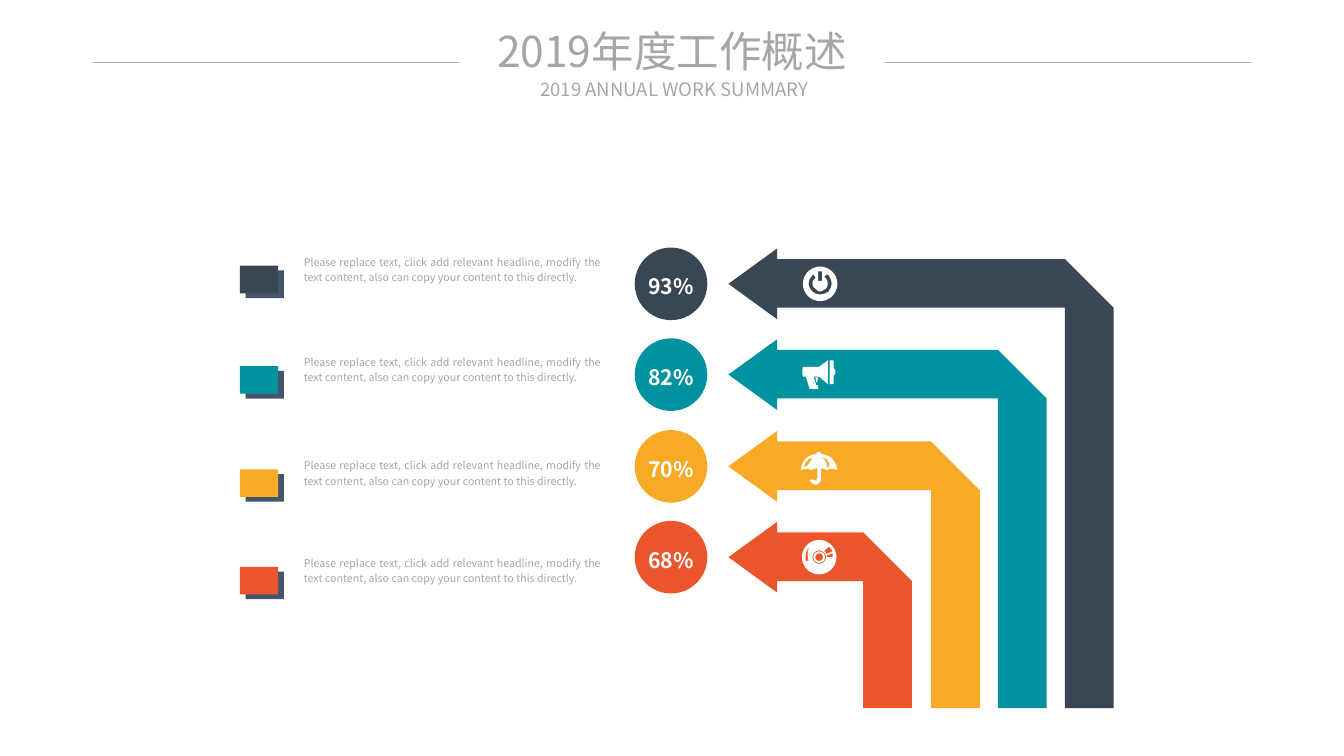
import math

from lxml import etree
from pptx import Presentation
from pptx import util as u
from pptx.dml.color import RGBColor
from pptx.enum import shapes, text
from pptx.oxml.ns import qn

PX = 9144  # EMU per px, 100 px to the inch
FONT = "Noto Sans CJK SC"
NAVY = RGBColor(0x39, 0x47, 0x54)
TEAL = RGBColor(0x00, 0x93, 0x9F)
AMBER = RGBColor(0xF6, 0xAA, 0x26)
ORANGE = RGBColor(0xEA, 0x55, 0x2B)
SLATE = RGBColor(0x44, 0x54, 0x6A)
GREY = RGBColor(0xA6, 0xA6, 0xA6)
WHITE = RGBColor(0xFF, 0xFF, 0xFF)

DESCRIPTION = ("Please replace text, click add relevant headline, modify the text "
               "content, also can copy your content to this directly.")


def circle(x, y, radius, steps=48):
    angles = [2 * math.pi * step / steps for step in range(steps)]
    return [(x + radius * math.cos(a), y + radius * math.sin(a)) for a in angles]


# Outlines on a 40 px grid: pairs are corners, sixes are Bezier curves.
POWER = [
    circle(20, 20, 18),
    [(18, 7), (18, 17), (22, 17), (22, 7)],
    [(27, 10), (24, 13), (25, 13, 25, 14, 26, 14), (27, 16, 28, 17, 28, 20),
     (28, 22, 27, 24, 26, 25), (24, 26, 22, 28, 20, 28), (18, 28, 16, 26, 15, 25),
     (13, 24, 12, 22, 12, 20), (12, 17, 13, 16, 15, 14), (15, 13), (13, 10),
     (12, 11), (10, 13, 8, 16, 8, 20), (8, 23, 10, 26, 12, 28),
     (14, 30, 17, 31, 20, 31), (23, 31, 26, 30, 29, 28),
     (30, 26, 32, 23, 32, 20), (32, 16, 30, 13, 29, 11)],
]
MEGAPHONE = [
    [(2, 12), (18, 12), (20, 11), (28, 5), (28, 30), (20, 23), (18, 22), (13, 22),
     (16, 31), (18, 31), (18, 35), (9, 35), (5, 22), (2, 22), (1, 19, 1, 15, 2, 12)],
    [(34, 13), (35, 14, 36, 15, 36, 17), (36, 19, 35, 21, 34, 21), (34, 30),
     (30, 30), (30, 5), (34, 5)],
    [(18, 23), (15, 23), (16, 28), (17, 28), (17, 26)],
]
UMBRELLA = [
    [(13, 34), (15, 35), (16, 34), (17, 33), (17, 22), (14, 22, 12, 23, 11, 24),
     (7, 22, 3, 22, 0, 24), (0, 15, 6, 8, 16, 7), (17, 5), (20, 5), (21, 7),
     (32, 8, 37, 15, 38, 24), (34, 22, 31, 22, 27, 24), (25, 23, 23, 22, 21, 22),
     (21, 33), (21, 35, 20, 37, 18, 38), (18, 38, 17, 39, 16, 39),
     (15, 39, 14, 39, 13, 38), (11, 38, 10, 36, 9, 34)],
    [(27, 21), (28, 21, 29, 20, 30, 20), (29, 13, 26, 11, 21, 10),
     (25, 12, 27, 16, 27, 21)],
    [(3, 20), (5, 20), (7, 19), (9, 16, 11, 13, 12, 11), (7, 12, 5, 15, 3, 20)],
]
DISC = [
    circle(19, 20, 18), circle(19, 20, 7), circle(19, 20, 6), circle(19, 20, 4),
    [(9, 9), (5, 13, 4, 19, 5, 24), (8, 24), (6, 18, 7, 13, 9, 9)],
    [(24, 14), (25, 14, 26, 15, 26, 16), (26, 17), (33, 14), (32, 12), (29, 9)],
    [(33, 16), (27, 18), (27, 20), (33, 20)],
]

# colour, share, top of the description, icon
ITEMS = [
    (NAVY, "93%", 260, POWER),
    (TEAL, "82%", 365, MEGAPHONE),
    (AMBER, "70%", 473, UMBRELLA),
    (ORANGE, "68%", 575, DISC),
]


def paint(shape, colour):
    shape.shadow.inherit = False
    shape.fill.solid()
    shape.fill.fore_color.rgb = colour
    shape.line.fill.background()


def write(shape, words, size, colour, align, bold=False, spacing=1.0):
    paragraph = shape.text_frame.paragraphs[0]
    paragraph.text = words
    paragraph.alignment = align
    paragraph.line_spacing = spacing
    paragraph.space_before = u.Pt(0)
    font = paragraph.font
    font.name, font.size, font.bold = FONT, u.Pt(size), bold
    font.color.rgb = colour
    defaults = paragraph._p.pPr.find(qn("a:defRPr"))
    etree.SubElement(defaults, qn("a:ea"), typeface=FONT)


def clear_margins(frame):
    frame.margin_left = frame.margin_right = 0
    frame.margin_top = frame.margin_bottom = 0
    frame.vertical_anchor = text.MSO_ANCHOR.MIDDLE


def add_heading(placeholder, box, words, size):
    placeholder.left, placeholder.top, placeholder.width, placeholder.height = (
        length * PX for length in box)
    frame = placeholder.text_frame
    clear_margins(frame)
    frame.auto_size = text.MSO_AUTO_SIZE.NONE
    write(placeholder, words, size, GREY, text.PP_ALIGN.CENTER)


def add_rule(slide, start, end, y):
    rule = slide.shapes.add_connector(
        shapes.MSO_CONNECTOR.STRAIGHT, start * PX, y * PX, end * PX, y * PX)
    rule.line.color.rgb = GREY
    rule.line.width = u.Pt(0.5)
    etree.SubElement(rule._element.spPr, qn("a:effectLst"))


def add_preset(slide, kind, left, top, width, height, colour):
    shape = slide.shapes.add_shape(kind, left * PX, top * PX, width * PX, height * PX)
    paint(shape, colour)
    return shape


def flatten(contour, steps=6):
    """Turn the curves of a contour into short straight segments."""
    points = []
    for part in contour:
        if len(part) == 2:
            points.append(part)
            continue
        controls = [points[-1], part[:2], part[2:4], part[4:]]
        for step in range(1, steps + 1):
            t = step / steps
            weights = ((1 - t) ** 3, 3 * t * (1 - t) ** 2, 3 * t * t * (1 - t), t ** 3)
            points.append(tuple(sum(w * c[axis] for w, c in zip(weights, controls))
                                for axis in (0, 1)))
    return points


def add_outline(slide, contours, colour, left=0, top=0):
    """Draw the contours as one shape; inner contours become holes."""
    builder = None
    for contour in contours:
        points = [((left + x) * PX, (top + y) * PX) for x, y in flatten(contour)]
        if builder is None:
            builder = slide.shapes.build_freeform(*points[0])
        else:
            builder.move_to(*points[0])
        builder.add_line_segments(points[1:], close=True)
    paint(builder.convert_to_shape(), colour)


def add_bent_arrow(slide, middle, stem, colour):
    tip, neck, thickness, foot = 762, 813, 51, 741
    upper, lower = middle - 26, middle + 25
    add_outline(slide, [[
        (neck, middle - 37), (neck, upper), (stem, upper), (stem + thickness, lower),
        (stem + thickness, foot), (stem, foot), (stem, lower), (neck, lower),
        (neck, middle + 37), (tip, middle)]], colour)


def add_share(slide, middle, share, colour):
    badge = add_preset(slide, shapes.MSO_SHAPE.OVAL, 664, middle - 38, 76, 76, colour)
    clear_margins(badge.text_frame)
    badge.text_frame.word_wrap = False
    write(badge, share, 16, WHITE, text.PP_ALIGN.CENTER, bold=True, spacing=1.2)


def add_legend(slide, top, colour):
    add_preset(slide, shapes.MSO_SHAPE.RECTANGLE, 257, top + 23, 40, 29, SLATE)
    add_preset(slide, shapes.MSO_SHAPE.RECTANGLE, 251, top + 18, 40, 29, colour)
    description = slide.shapes.add_textbox(308 * PX, top * PX, 331 * PX, 41 * PX)
    description.text_frame.word_wrap = True
    write(description, DESCRIPTION, 8, GREY, text.PP_ALIGN.JUSTIFY, spacing=1.2)


def main():
    deck = Presentation()
    deck.slide_width, deck.slide_height = 1406 * PX, 791 * PX
    slide = deck.slides.add_slide(deck.slide_layouts[0])
    title, subtitle = slide.placeholders
    add_heading(title, (487, 26, 432, 54), "2019年度工作概述", 32)
    add_heading(subtitle, (550, 81, 311, 24), "2019 ANNUAL WORK SUMMARY", 14)
    for start, end in ((97, 480), (926, 1309)):
        add_rule(slide, start, end, 65)
    for row, (colour, share, legend_top, icon) in enumerate(ITEMS):
        middle = 297 + row * 191 // 2
        add_legend(slide, legend_top, colour)
        add_share(slide, middle, share, colour)
        add_bent_arrow(slide, middle, 1114 - row * 211 // 3, colour)
        add_outline(slide, icon, WHITE, 838, middle - 20)
    deck.save("out.pptx")


if __name__ == "__main__":
    main()
